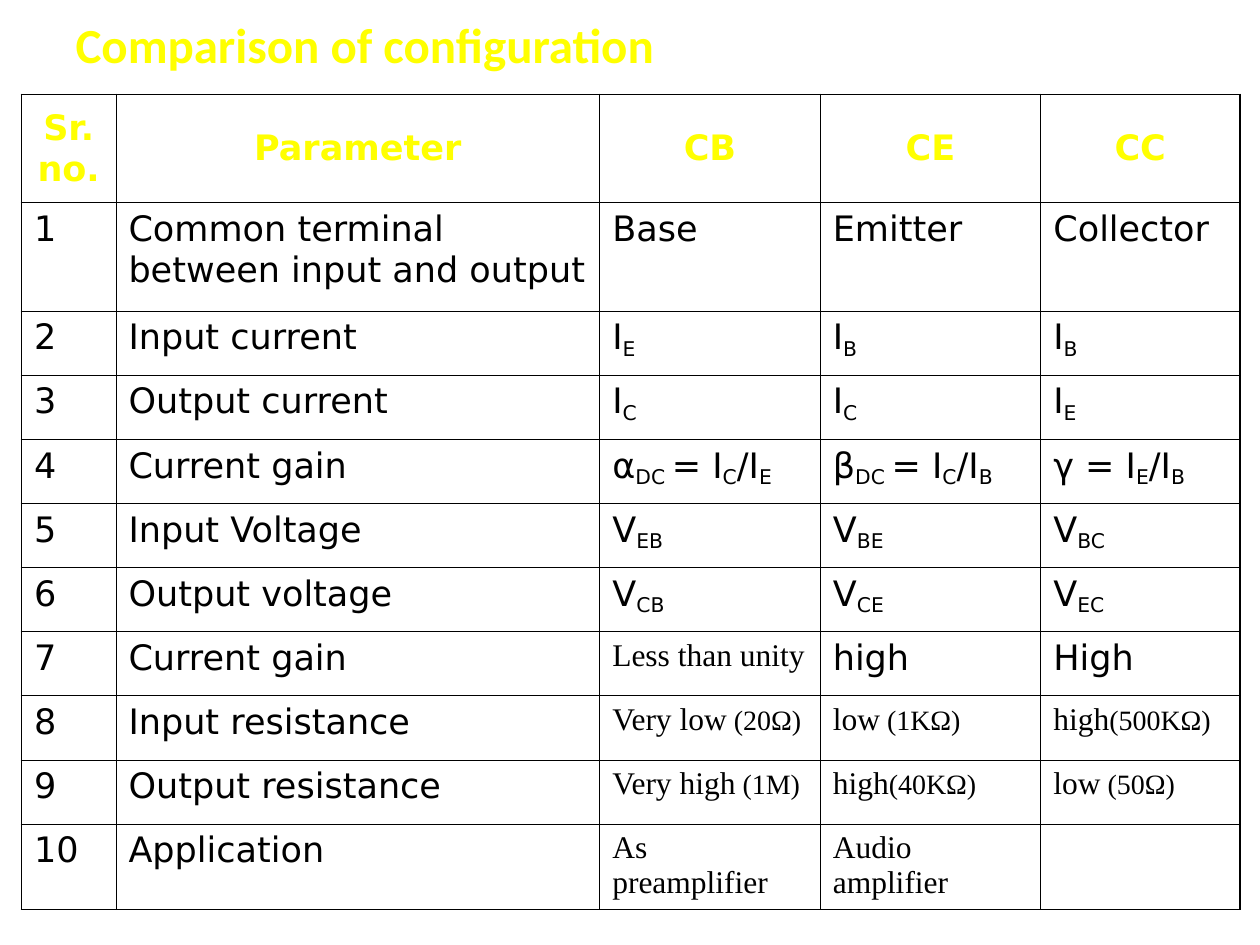
from itertools import product

from lxml import etree
from pptx import Presentation
from pptx.dml.color import RGBColor
from pptx.enum.text import MSO_ANCHOR, PP_ALIGN
from pptx.oxml.ns import qn
from pptx.util import Inches, Pt

LEFT, CENTER = PP_ALIGN.LEFT, PP_ALIGN.CENTER
TOP, MIDDLE = MSO_ANCHOR.TOP, MSO_ANCHOR.MIDDLE

YELLOW = RGBColor(0xFF, 0xFF, 0x00)
BLACK = RGBColor(0x00, 0x00, 0x00)

TITLE_FONT, SANS, SERIF = "Calibri", "DejaVu Sans", "Times New Roman"
INNER_LINE, OUTER_LINE = Pt(0.45), Pt(1.08)

COL_WIDTHS = [0.75, 3.84, 1.75, 1.75, 1.58]
ROW_HEIGHTS = [0.86, 0.86] + [0.51] * 8 + [0.68]

# Every second piece between bars is a subscript, or small print in serif cells.
ROWS = [
    ["Sr.no.", "Parameter", "CB", "CE", "CC"],
    ["1", "Common terminal between input and output", "Base", "Emitter", "Collector"],
    ["2", "Input current", "I|E", "I|B", "I|B"],
    ["3", "Output current", "I|C", "I|C", "I|E"],
    ["4", "Current gain", "α|DC |= I|C|/I|E", "β|DC |= I|C|/I|B", "γ = I|E|/I|B"],
    ["5", "Input Voltage", "V|EB", "V|BE", "V|BC"],
    ["6", "Output voltage", "V|CB", "V|CE", "V|EC"],
    ["7", "Current gain", "Less than unity", "high", "High"],
    ["8", "Input resistance", "Very low| (20Ω)", "low| (1KΩ)", "high|(500KΩ)"],
    ["9", "Output resistance", "Very high| (1M)", "high|(40KΩ)", "low| (50Ω)"],
    ["10", "Application", "As preamplifier", "Audio amplifier", ""],
]
SERIF_CELLS = {(7, 2)} | set(product(range(8, 11), range(2, 5)))


def set_borders(cell, widths):
    tcPr = cell._tc.get_or_add_tcPr()
    for i, (tag, width) in enumerate(widths.items()):
        ln = etree.Element(qn(f"a:{tag}"), w=str(int(width)))
        fill = etree.SubElement(ln, qn("a:solidFill"))
        etree.SubElement(fill, qn("a:srgbClr"), val=str(BLACK))
        tcPr.insert(i, ln)


def fill_cell(cell, text, header, serif):
    cell.fill.background()
    cell.vertical_anchor = MIDDLE if header else TOP
    cell.margin_left = cell.margin_right = Inches(0.1)
    cell.margin_top = cell.margin_bottom = Inches(0.05)
    p = cell.text_frame.paragraphs[0]
    p.alignment = CENTER if header else LEFT
    p.font.name = SERIF if serif else SANS
    p.font.size = Pt(18 if serif else 20)
    p.font.bold = header
    p.font.color.rgb = YELLOW if header else BLACK
    if not text:
        return
    for i, piece in enumerate(text.split("|")):
        r = p.add_run()
        r.text = piece
        if i % 2 and serif:
            r.font.size = Pt(16)
        elif i % 2:
            r._r.get_or_add_rPr().set("baseline", "-18000")


def add_title(s, left, top, width, height):
    title = s.shapes.title
    title.left, title.top, title.width, title.height = left, top, width, height
    tf = title.text_frame
    tf.text = "Comparison of configuration"
    tf.word_wrap = True
    tf.vertical_anchor = MIDDLE
    p = tf.paragraphs[0]
    p.alignment = LEFT
    p.font.name = TITLE_FONT
    p.font.size = Pt(28)
    p.font.bold = True
    p.font.color.rgb = YELLOW


def add_comparison_table(s, left, top, width, height):
    last_row, last_col = len(ROWS) - 1, len(COL_WIDTHS) - 1
    table = s.shapes.add_table(len(ROWS), len(COL_WIDTHS), left, top, width, height).table
    table.horz_banding = False
    for col, w in zip(table.columns, COL_WIDTHS):
        col.width = int(width * w / sum(COL_WIDTHS))
    for row, h in zip(table.rows, ROW_HEIGHTS):
        row.height = int(height * h / sum(ROW_HEIGHTS))
    for i, texts in enumerate(ROWS):
        for j, text in enumerate(texts):
            cell = table.cell(i, j)
            fill_cell(cell, text, i == 0, (i, j) in SERIF_CELLS)
            outer = {"lnL": j == 0, "lnR": j == last_col, "lnT": i == 0, "lnB": i == last_row}
            set_borders(cell, {k: OUTER_LINE if v else INNER_LINE for k, v in outer.items()})


def main():
    prs = Presentation()
    prs.slide_width, prs.slide_height = Inches(10), Inches(7.5)
    s = prs.slides.add_slide(prs.slide_layouts[5])
    add_title(s, Inches(0.5), Inches(0.08), Inches(9), Inches(0.53))
    add_comparison_table(s, Inches(0.17), Inches(0.75), Inches(9.67), Inches(6.47))
    prs.save("out.pptx")


if __name__ == "__main__":
    main()
